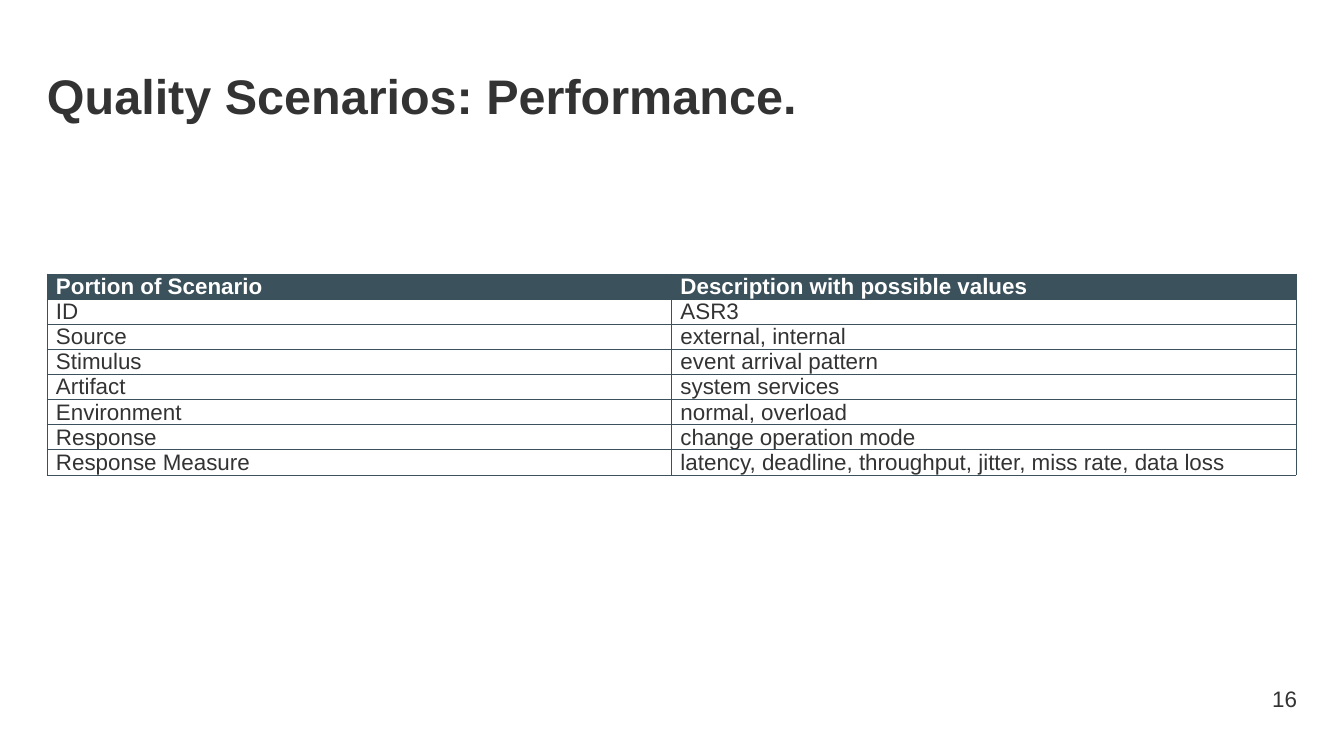
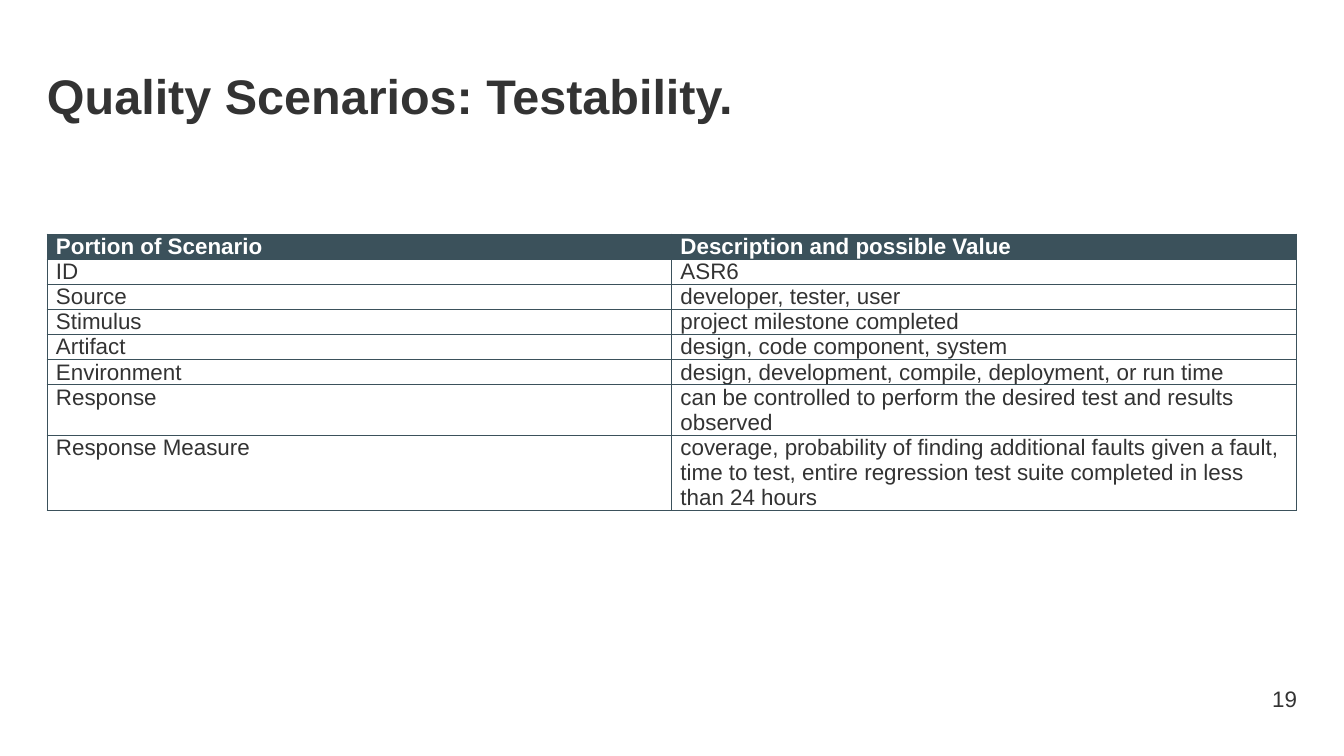
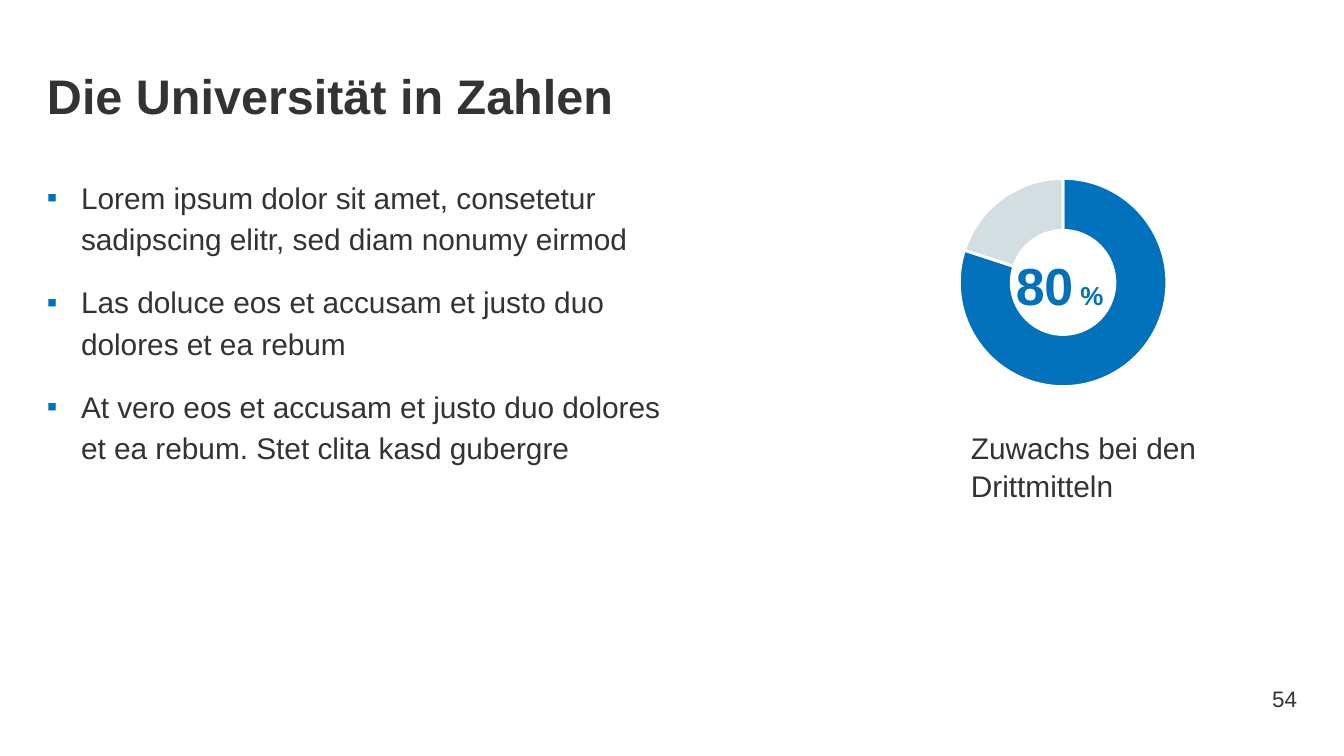
from dataclasses import dataclass

from lxml import etree
from pptx import Presentation
from pptx import util as u
from pptx.chart.data import CategoryChartData
from pptx.dml.color import RGBColor
from pptx.enum import chart as charts, text
from pptx.oxml import parse_xml
from pptx.oxml.ns import nsdecls, qn

SCALE = 914400 / 134.4


@dataclass(frozen=True)
class Theme:
    """Colours, type sizes and spacing shared by the slides."""
    font: str = "Arial"
    ink: str = "333333"
    white: str = "FFFFFF"
    slate: str = "3B515B"
    blue: str = "0271BB"
    pale: str = "D3DEE3"
    title: int = 26
    body: int = 16
    small: int = 12
    figure: int = 28
    unit: int = 14
    leading: float = 1.15
    caption_leading: float = 1.05


THEME = Theme()
LEFT, WIDTH = 47, 1249

PERFORMANCE = [
    ("Portion of Scenario", "Description with possible values"),
    ("ID", "ASR3"),
    ("Source", "external, internal"),
    ("Stimulus", "event arrival pattern"),
    ("Artifact", "system services"),
    ("Environment", "normal, overload"),
    ("Response", "change operation mode"),
    ("Response Measure", "latency, deadline, throughput, jitter, miss rate, data loss"),
]
TESTABILITY = [
    ("Portion of Scenario", "Description and possible Value"),
    ("ID", "ASR6"),
    ("Source", "developer, tester, user"),
    ("Stimulus", "project milestone completed"),
    ("Artifact", "design, code component, system"),
    ("Environment", "design, development, compile, deployment, or run time"),
    ("Response", "can be controlled to perform the desired test and results observed"),
    ("Response Measure", "coverage, probability of finding additional faults given a fault, "
     "time to test, entire regression test suite completed in less than 24 hours"),
]
BULLETS = [
    "Lorem ipsum dolor sit amet, consetetur sadipscing elitr, sed diam nonumy eirmod",
    "Las doluce eos et accusam et justo duo dolores et ea rebum",
    "At vero eos et accusam et justo duo dolores et ea rebum. Stet clita kasd gubergre",
]


def px(length):
    """Turn pixels into EMU."""
    return u.Emu(round(length * SCALE))


def add_span(para, words, size, colour=THEME.ink, bold=False):
    """Append one formatted run to a paragraph."""
    span = para.add_run()
    span.text = words
    span.font.name = THEME.font
    span.font.size = u.Pt(size)
    span.font.bold = bold
    span.font.color.rgb = RGBColor.from_string(colour)


def set_frame(box, left, top, width, height, insets=(0, 7, 13, 7), anchor=text.MSO_ANCHOR.TOP):
    """Place a text shape, set its insets and anchor, and return its frame."""
    box.left, box.top, box.width, box.height = map(px, (left, top, width, height))
    frame = box.text_frame
    frame.word_wrap = True
    frame.auto_size = text.MSO_AUTO_SIZE.NONE
    frame.vertical_anchor = anchor
    (frame.margin_left, frame.margin_top,
     frame.margin_right, frame.margin_bottom) = map(px, insets)
    return frame


def add_page(deck, layout, title, number):
    """Add a slide with its title and page number."""
    page = deck.slides.add_slide(deck.slide_layouts.get_by_name(layout))
    para = set_frame(page.shapes.title, LEFT, 50, WIDTH, 85).paragraphs[0]
    para.alignment = text.PP_ALIGN.LEFT
    para.line_spacing = THEME.leading
    add_span(para, title, THEME.title, bold=True)
    box = page.shapes.add_textbox(0, 0, 0, 0)
    frame = set_frame(box, 1200, 679, 97, 40, (13, 7, 0, 7), text.MSO_ANCHOR.MIDDLE)
    frame.paragraphs[0].alignment = text.PP_ALIGN.RIGHT
    add_span(frame.paragraphs[0], number, THEME.small)
    return page


def set_borders(cell):
    """Draw a thin slate line on each side of a cell."""
    properties = cell._tc.get_or_add_tcPr()
    for index, side in enumerate(("lnL", "lnR", "lnT", "lnB")):
        properties.insert(index, parse_xml(
            f'<a:{side} {nsdecls("a")} w="6350"><a:solidFill>'
            f'<a:srgbClr val="{THEME.slate}"/></a:solidFill></a:{side}>'))


def fill_cell(cell, words, is_header):
    """Write and format a header or body cell."""
    cell.margin_left = cell.margin_right = px(9)
    cell.margin_top = cell.margin_bottom = 0
    cell.vertical_anchor = text.MSO_ANCHOR.BOTTOM if is_header else text.MSO_ANCHOR.TOP
    if is_header:
        cell.fill.solid()
        cell.fill.fore_color.rgb = RGBColor.from_string(THEME.slate)
    else:
        cell.fill.background()
    para = cell.text_frame.paragraphs[0]
    para.space_after = u.Pt(1.8 if is_header else 10)
    add_span(para, words, THEME.small, THEME.white if is_header else THEME.ink, is_header)
    set_borders(cell)


def add_scenario_table(page, top, rows):
    """Add a two-column table of scenario portions."""
    table = page.shapes.add_table(
        len(rows), 2, px(LEFT), px(top), px(WIDTH), px(25 * len(rows))).table
    table.horz_banding = False
    for row, values in enumerate(rows):
        for column, words in enumerate(values):
            fill_cell(table.cell(row, column), words, row == 0)


def add_bullets(page, items):
    """Fill the body placeholder with square-bulleted paragraphs."""
    frame = set_frame(page.placeholders[1], LEFT, 167, 656, 434)
    for index, words in enumerate(items):
        para = frame.add_paragraph() if index else frame.paragraphs[0]
        properties = para._p.get_or_add_pPr()
        properties.set("marL", str(px(34)))
        properties.set("indent", str(px(-34)))
        colour = etree.SubElement(properties, qn("a:buClr"))
        etree.SubElement(colour, qn("a:srgbClr"), val=THEME.blue)
        etree.SubElement(properties, qn("a:buChar"), char="▪")
        para.line_spacing = THEME.leading
        para.space_before = u.Pt(12 if index else 0)
        add_span(para, words, THEME.body)


def add_caption(page, lines):
    """Add the caption below the ring, one line to each entry."""
    box = page.shapes.add_textbox(0, 0, 0, 0)
    para = set_frame(box, 958, 421, 296, 86, (13, 7, 13, 7)).paragraphs[0]
    para.line_spacing = THEME.caption_leading
    for index, words in enumerate(lines):
        if index:
            para.add_line_break()
        add_span(para, words, THEME.body)


def manual_layout(target, **sizes):
    """Build a chart layout with fixed fractions."""
    inner = '<c:layoutTarget val="inner"/>' if target else ""
    modes = '<c:xMode val="edge"/><c:yMode val="edge"/>'
    values = "".join(f'<c:{name} val="{value}"/>' for name, value in sizes.items())
    return parse_xml(f'<c:layout {nsdecls("c")}><c:manualLayout>{inner}{modes}{values}'
                     '</c:manualLayout></c:layout>')


def replace_layout(parent, layout, position):
    """Put a layout into a chart element at the given position."""
    for old in parent.findall(qn("c:layout")):
        parent.remove(old)
    parent.insert(position, layout)


def add_ring(page, share):
    """Add the doughnut chart with the share written in its hole."""
    data = CategoryChartData()
    data.categories = ["1", "2"]
    data.add_series("Series 1", (share, 100 - share))
    chart = page.shapes.add_chart(
        charts.XL_CHART_TYPE.DOUGHNUT, px(958), px(177), px(211), px(211), data).chart
    chart.has_legend = False
    chart.font.name = THEME.font
    chart.font.size = u.Pt(10)
    chart.font.color.rgb = RGBColor.from_string(THEME.ink)
    plot = chart.plots[0]
    plot.vary_by_categories = True
    plot._element.find(qn("c:holeSize")).set("val", "75")
    for index, colour in enumerate((THEME.blue, THEME.pale)):
        look = plot.series[0].points[index].format
        look.fill.solid()
        look.fill.fore_color.rgb = RGBColor.from_string(colour)
        look.line.color.rgb = RGBColor.from_string(THEME.white)
        look.line.width = u.Pt(1.5)
    para = chart.chart_title.text_frame.paragraphs[0]
    add_span(para, str(share), THEME.figure, THEME.blue, True)
    add_span(para, " %", THEME.unit, THEME.blue, True)
    chart.chart_title.include_in_layout = True
    title = chart.chart_title._element
    replace_layout(title, manual_layout(False, x=0.25, y=0.36), 1)
    overlay = title.find(qn("c:overlay"))
    if overlay is None:
        overlay = parse_xml(f'<c:overlay {nsdecls("c")}/>')
        title.insert(2, overlay)
    overlay.set("val", "1")
    area = plot._element.getparent()
    replace_layout(area, manual_layout(True, x=0, y=0.01, w=0.99, h=1), 0)


def main():
    """Build and save the deck."""
    deck = Presentation()
    deck.slide_width, deck.slide_height = px(1344), px(756)
    page = add_page(deck, "Title Only", "Quality Scenarios: Performance.", "16")
    add_scenario_table(page, 274, PERFORMANCE)
    page = add_page(deck, "Title Only", "Quality Scenarios: Testability.", "19")
    add_scenario_table(page, 234, TESTABILITY)
    page = add_page(deck, "Title and Content", "Die Universität in Zahlen", "54")
    add_bullets(page, BULLETS)
    add_caption(page, ("Zuwachs bei den", "Drittmitteln"))
    add_ring(page, 80)
    deck.save("out.pptx")


if __name__ == "__main__":
    main()
